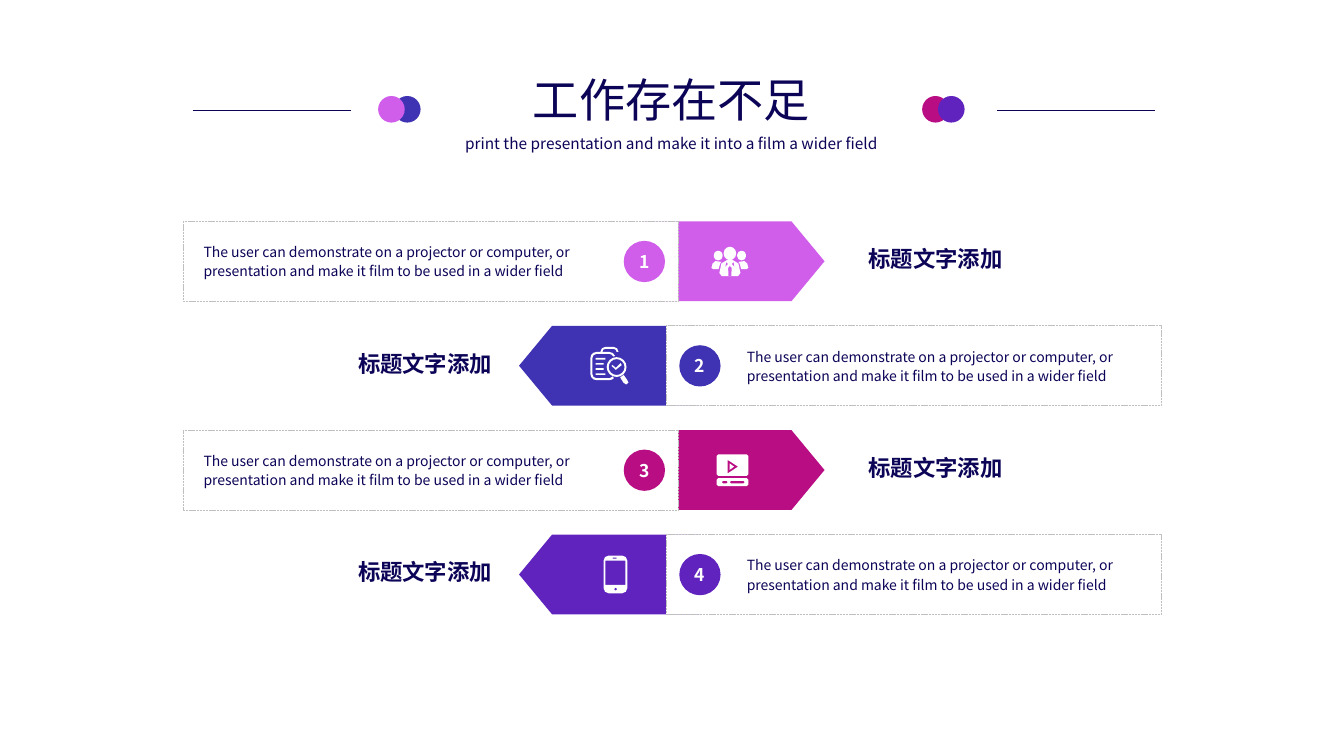
from dataclasses import dataclass
from math import cos, radians, sin

from lxml.etree import SubElement
from pptx import Presentation
from pptx.dml.color import RGBColor
from pptx.enum.dml import MSO_LINE_DASH_STYLE as Dash
from pptx.enum.shapes import MSO_CONNECTOR, MSO_SHAPE as Preset
from pptx.enum.text import MSO_ANCHOR as Anchor, MSO_AUTO_SIZE as Fit, PP_ALIGN as Align
from pptx.oxml.ns import qn
from pptx.util import Cm, Pt

FONT = "Noto Sans CJK SC"
NAVY = RGBColor(0x0C, 0x04, 0x57)
PINK = RGBColor(0xD0, 0x5E, 0xEB)
BLUE = RGBColor(0x3F, 0x32, 0xB3)
ROSE = RGBColor(0xB9, 0x0E, 0x83)
PLUM = RGBColor(0x60, 0x23, 0xBE)
GREY = RGBColor(0xBF, 0xBF, 0xBF)
WHITE = RGBColor(0xFF, 0xFF, 0xFF)
BODY = ("The user can demonstrate on a projector or computer, or "
        "presentation and make it film to be used in a wider field")
HEAD = "标题文字添加"
TOP, PITCH, HIGH = 5.58, 2.63, 2.01

Points = list[tuple[float, float]]


@dataclass
class Side:
    """Left edges, in cm, of the parts of a row that points one way."""
    arrow: float
    frame: float
    dot: float
    body: float
    head: float
    align: Align
    turn: int


@dataclass
class Row:
    side: Side
    color: RGBColor
    icon: list[Points]
    left: float
    drop: float


def arc(x: float, y: float, r: float, start: int, end: int) -> Points:
    """Points on an arc; angles run clockwise from the right."""
    steps = 1 + int(r * (end - start) / 6)
    turns = [radians(start + (end - start) * i / steps) for i in range(steps + 1)]
    return [(x + r * cos(t), y + r * sin(t)) for t in turns]


def pill(x: float, y: float, w: float, h: float, r: float = 0) -> Points:
    """Outline of a box with corners of radius r."""
    if not r:
        return [(x, y), (x + w, y), (x + w, y + h), (x, y + h)]
    return (arc(x + w - r, y + h - r, r, 0, 90) + arc(x + r, y + h - r, r, 90, 180)
            + arc(x + r, y + r, r, 180, 270) + arc(x + w - r, y + r, r, 270, 360))


def band(bends: list[tuple[float, float, int, int]], r: float) -> Points:
    """Open stroke that passes round the given bends."""
    outer, inner = ([p for x, y, a, b in bends for p in arc(x, y, size, a, b)]
                    for size in (r, r - 0.05))
    return outer + inner[::-1]


def flip(points: Points) -> Points:
    return [(0.93 - x, y) for x, y in points]


friend = [pill(0.06, 0.1, 0.22, 0.24, 0.1),
          [(0.1, 0.36), (0.03, 0.42), (0, 0.53), (0.04, 0.56), (0.18, 0.56),
           (0.22, 0.42), (0.25, 0.38)]]
collar = [(0.56, 0.38), (0.51, 0.43), (0.58, 0.51)]
PEOPLE = [
    *friend, *map(flip, friend), collar, flip(collar),
    pill(0.31, 0, 0.31, 0.33, 0.15),
    [(0.4, 0.33), (0.25, 0.42), (0.2, 0.66), (0.26, 0.74),
     (0.67, 0.74), (0.73, 0.66), (0.68, 0.42), (0.53, 0.33)],
    [(0.46, 0.48), (0.51, 0.53), (0.5, 0.74), (0.43, 0.74), (0.42, 0.53)],
]
FILES = [
    band([(0.48, 0.69, 40, 90), (0.15, 0.69, 90, 180),
          (0.15, 0.28, 180, 270), (0.48, 0.28, 270, 340)], 0.15),
    band([(0.38, 0.13, 180, 270), (0.58, 0.13, 270, 360)], 0.13),
    pill(0.41, 0.26, 0.5, 0.5, 0.25),
    pill(0.46, 0.31, 0.4, 0.4, 0.2),
    [(0.84, 0.71), (0.93, 0.84), (0.96, 0.9), (0.9, 0.95), (0.83, 0.9), (0.75, 0.77)],
    [(0.64, 0.53), (0.56, 0.46), (0.53, 0.48), (0.64, 0.58), (0.79, 0.46), (0.76, 0.41)],
    *(pill(0.13, 0.28 + 0.13 * i, w, 0.04)
      for i, w in enumerate((0.25, 0.2, 0.2, 0.25))),
]
VIDEO = [
    pill(0, 0, 0.8, 0.54, 0.04),
    pill(0, 0.6, 0.8, 0.2, 0.04),
    pill(0.33, 0.67, 0.38, 0.06, 0.03),
    pill(0.13, 0.67, 0.15, 0.06, 0.03),
    [(0.28, 0.14), (0.54, 0.31), (0.28, 0.48)],
    [(0.33, 0.23), (0.44, 0.31), (0.33, 0.39)],
]
PHONE = [
    pill(0, 0, 0.6, 0.95, 0.13),
    pill(0.05, 0.13, 0.5, 0.61),
    pill(0.23, 0.05, 0.1, 0.03),
    pill(0.27, 0.81, 0.07, 0.07, 0.03),
]

EAST = Side(16.23, 4.62, 15.72, 4.88, 21.64, Align.LEFT, 0)
WEST = Side(13.08, 16.79, 17.12, 18.57, 6.73, Align.RIGHT, 180)
ROWS = [
    Row(EAST, PINK, PEOPLE, 17.93, 0.64),
    Row(WEST, BLUE, FILES, 14.88, 0.53),
    Row(EAST, ROSE, VIDEO, 18.06, 0.61),
    Row(WEST, PLUM, PHONE, 15.21, 0.53),
]


def write(frame, text: str, size: float, color: RGBColor = NAVY,
          align: Align = Align.LEFT, bold: bool = False, space: float = 1.0) -> None:
    para = frame.paragraphs[0]
    para.text, para.alignment, para.line_spacing = text, align, space
    font = para.font
    font.size, font.bold, font.name = Pt(size), bold, FONT
    font.color.rgb = color
    base = para._p.pPr.find(qn("a:defRPr"))
    SubElement(base, qn("a:ea")).set("typeface", FONT)


def label(shapes, x: float, y: float, w: float, h: float, text: str, size: float,
          **style) -> None:
    box = shapes.add_textbox(Cm(x), Cm(y), Cm(w), Cm(h))
    box.text_frame.word_wrap = True
    write(box.text_frame, text, size, **style)


def paint(shape, color: RGBColor) -> None:
    shape.shadow.inherit = False
    shape.fill.solid()
    shape.fill.fore_color.rgb = color
    shape.line.fill.background()


def block(shapes, kind: Preset, x: float, y: float, w: float, h: float, color: RGBColor):
    shape = shapes.add_shape(kind, Cm(x), Cm(y), Cm(w), Cm(h))
    paint(shape, color)
    return shape


def draw_icon(shapes, icon: list[Points], x: float, y: float) -> None:
    """All outlines go into one shape, so inner ones become holes."""
    rings = [[(px * 1000, py * 1000) for px, py in ring] for ring in icon]
    pen = shapes.build_freeform(*rings[0][0], scale=Cm(0.001))
    for i, ring in enumerate(rings):
        if i:
            pen.move_to(*ring[0])
        pen.add_line_segments(ring[1:], close=True)
    paint(pen.convert_to_shape(Cm(x), Cm(y)), WHITE)


def draw_row(slide, index: int, row: Row) -> None:
    shapes, side = slide.shapes.add_group_shape().shapes, row.side
    y = TOP + PITCH * index
    arrow = block(shapes, Preset.CHEVRON, side.arrow, y, 4.55, HIGH, row.color)
    arrow.adjustments[0] = 0.414
    arrow.rotation = side.turn
    frame = block(shapes, Preset.RECTANGLE, side.frame, y, 12.47, HIGH, WHITE)
    frame.line.color.rgb = GREY
    frame.line.width = Pt(0.5)
    frame.line.dash_style = Dash.SQUARE_DOT
    dot = block(shapes, Preset.OVAL, side.dot, y + 0.49, 1.04, 1.04, row.color)
    dot.text_frame.word_wrap = False
    dot.text_frame.vertical_anchor = Anchor.MIDDLE
    write(dot.text_frame, str(index + 1), 12.5, WHITE, Align.CENTER, True)
    draw_icon(shapes, row.icon, row.left, y + row.drop)
    label(shapes, side.body, y + 0.38, 10.34, 1.22, BODY, 10, space=1.14)
    label(shapes, side.head, y + 0.48, 5.92, 0.94, HEAD, 16, align=side.align, bold=True)


def draw_header(slide) -> None:
    shapes = slide.shapes
    for x, color in ((9.93, BLUE), (9.53, PINK), (23.24, ROSE), (23.64, PLUM)):
        block(shapes, Preset.OVAL, x, 2.42, 0.67, 0.67, color)
    for x in (4.86, 25.12):
        rule = shapes.add_connector(
            MSO_CONNECTOR.STRAIGHT, Cm(x), Cm(2.77), Cm(x + 3.99), Cm(2.77))
        rule.line.color.rgb = NAVY
        rule.line.width = Pt(0.5)
        SubElement(rule._element.spPr, qn("a:effectLst"))
    title = shapes.title
    title.left, title.top, title.width, title.height = Cm(11.07), Cm(2.06), Cm(11.71), Cm(1.4)
    title.text_frame.auto_size = Fit.NONE
    title.text_frame.vertical_anchor = Anchor.TOP
    write(title.text_frame, "工作存在不足", 33, align=Align.CENTER, space=0.7)
    label(shapes, 11.07, 3.25, 11.71, 0.74,
          "print the presentation and make it into a film a wider field", 11,
          align=Align.CENTER)


def main() -> None:
    deck = Presentation()
    deck.slide_width, deck.slide_height = Cm(33.87), Cm(19.05)
    slide = deck.slides.add_slide(deck.slide_layouts[5])
    draw_header(slide)
    for index, row in enumerate(ROWS):
        draw_row(slide, index, row)
    deck.save("out.pptx")


if __name__ == "__main__":
    main()
